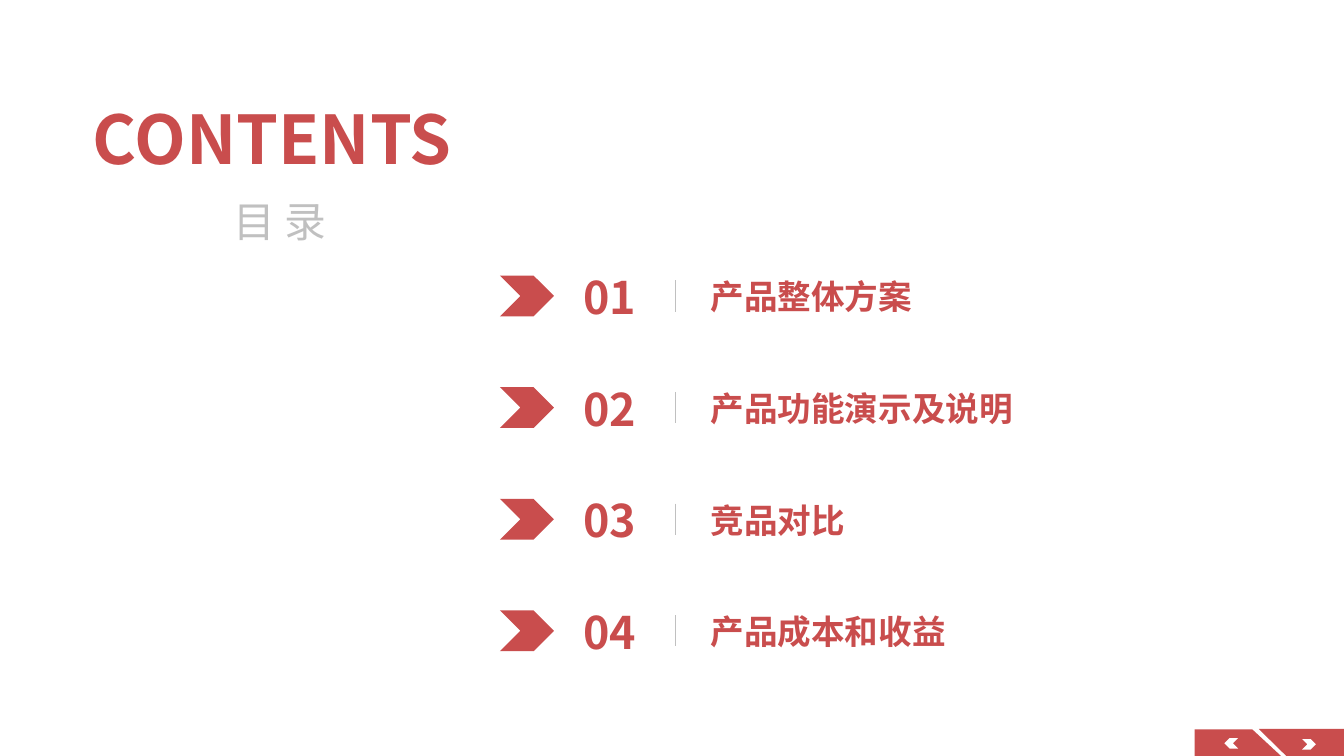
from dataclasses import dataclass

from lxml import etree
from pptx import Presentation
from pptx.dml.color import RGBColor
from pptx.enum.shapes import MSO_CONNECTOR, MSO_SHAPE
from pptx.enum.text import MSO_ANCHOR, MSO_AUTO_SIZE, PP_ALIGN
from pptx.oxml.ns import qn
from pptx.util import Cm, Pt


@dataclass(frozen=True)
class Theme:
    red: RGBColor = RGBColor.from_string("C94D4D")
    gray: RGBColor = RGBColor.from_string("C0C0C0")
    white: RGBColor = RGBColor.from_string("FFFFFF")
    cjk: str = "Noto Sans CJK SC"
    latin: str = "Arial"
    title: float = 36
    subtitle: float = 22.4
    number: float = 24
    item: float = 18


THEME = Theme()
ITEMS = ["产品整体方案", "产品功能演示及说明", "竞品对比", "产品成本和收益"]
FIRST_TOP, PITCH = 4.85, 2.11


def write(sp, text, size, color=THEME.red, font=THEME.cjk, bold=True,
          align=PP_ALIGN.LEFT):
    tf = sp.text_frame
    tf.word_wrap = True
    tf.auto_size = MSO_AUTO_SIZE.NONE
    tf.vertical_anchor = MSO_ANCHOR.MIDDLE
    p = tf.paragraphs[0]
    p.text = text
    p.alignment = align
    f = p.font
    f.size, f.bold, f.name = Pt(size), bold, font
    f.color.rgb = color
    latin = p._p.pPr.find(qn("a:defRPr")).find(qn("a:latin"))
    ea = etree.Element(qn("a:ea"), typeface=THEME.cjk)
    latin.addnext(ea)
    return p


def add_text(s, box, text, size, **style):
    return write(s.shapes.add_textbox(*map(Cm, box)), text, size, **style)


def paint(sp, color):
    sp.shadow.inherit = False
    sp.fill.solid()
    sp.fill.fore_color.rgb = color
    sp.line.fill.background()


def add_chevron(s, box, color, rotation=0):
    sp = s.shapes.add_shape(MSO_SHAPE.CHEVRON, *map(Cm, box))
    sp.rotation = rotation
    paint(sp, color)


def add_outline(s, points):
    start, *rest = [(Cm(x), Cm(y)) for x, y in points]
    builder = s.shapes.build_freeform(*start)
    builder.add_line_segments(rest, close=True)
    paint(builder.convert_to_shape(), THEME.red)


def add_divider(s, x, top, bottom):
    line = s.shapes.add_connector(
        MSO_CONNECTOR.STRAIGHT, Cm(x), Cm(top), Cm(x), Cm(bottom))
    line.line.color.rgb = THEME.gray
    line.line.width = Pt(0.5)
    etree.SubElement(line._element.spPr, qn("a:effectLst"))


def add_corner_buttons(s):
    add_outline(s, [(22.58, 13.79), (23.67, 13.79), (24.21, 14.29), (22.58, 14.29)])
    add_chevron(s, (23.14, 13.95, 0.26, 0.2), THEME.white, rotation=180)
    add_outline(s, [(25.4, 14.29), (24.31, 14.29), (23.79, 13.78), (25.4, 13.78)])
    add_chevron(s, (24.61, 13.97, 0.26, 0.2), THEME.white)


def add_item(s, top, number, label):
    add_text(s, (10.46, top, 2.13, 1.51), f"{number:02d}", THEME.number,
             align=PP_ALIGN.CENTER)
    add_divider(s, 12.76, top + 0.45, top + 1.04)
    add_text(s, (13.18, top, 11.13, 1.51), label, THEME.item, font=THEME.latin)
    add_chevron(s, (9.45, top + 0.36, 1.02, 0.77), THEME.red)


def add_title(s, text):
    title = s.shapes.title
    title.left, title.top, title.width, title.height = map(
        Cm, (1.5, 1.8, 9.3, 1.6))
    write(title, text, THEME.title)


def main():
    prs = Presentation()
    prs.slide_width, prs.slide_height = Cm(25.4), Cm(14.29)
    s = prs.slides.add_slide(prs.slide_layouts[5])
    add_corner_buttons(s)
    add_title(s, "CONTENTS")
    for i, label in enumerate(ITEMS):
        add_item(s, FIRST_TOP + i * PITCH, i + 1, label)
    subtitle = add_text(s, (0.89, 3.71, 8.79, 1.09), "目 录", THEME.subtitle,
                        color=THEME.gray, bold=False, align=PP_ALIGN.CENTER)
    subtitle.line_spacing = 0.8
    prs.save("out.pptx")


main()
